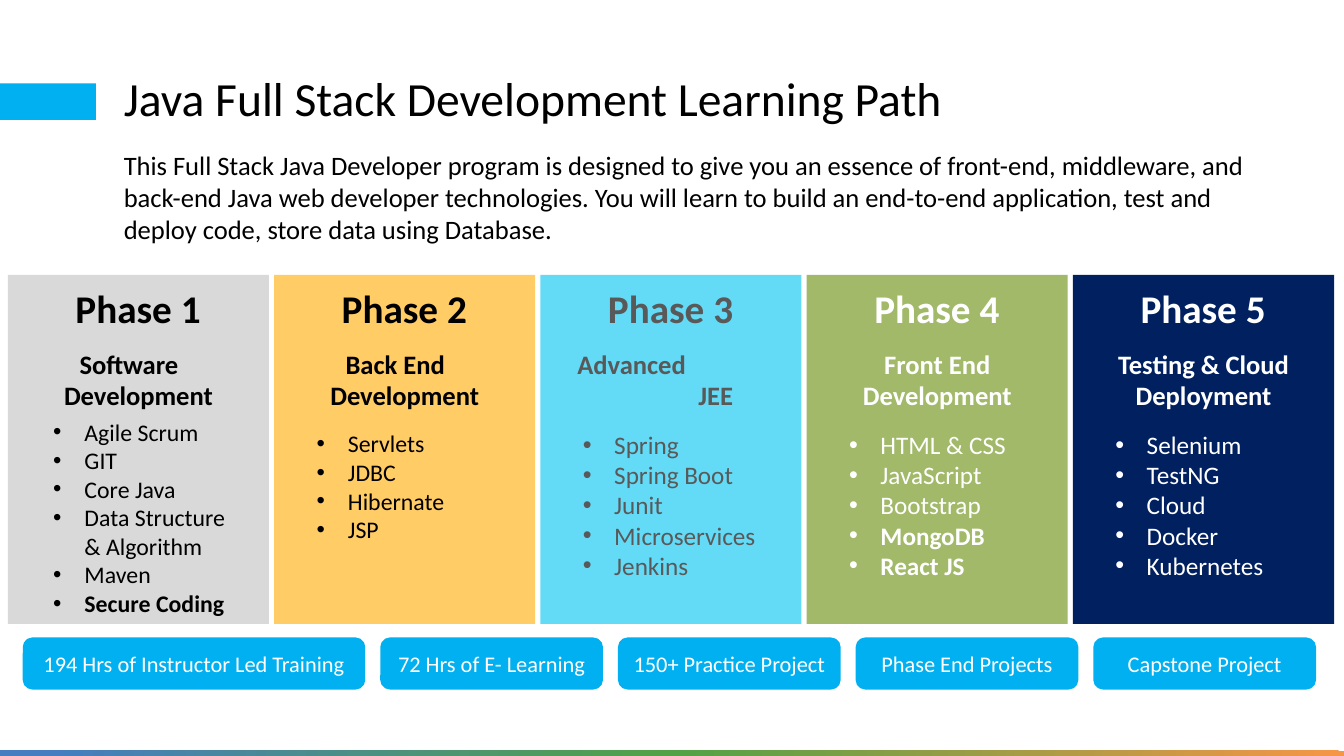
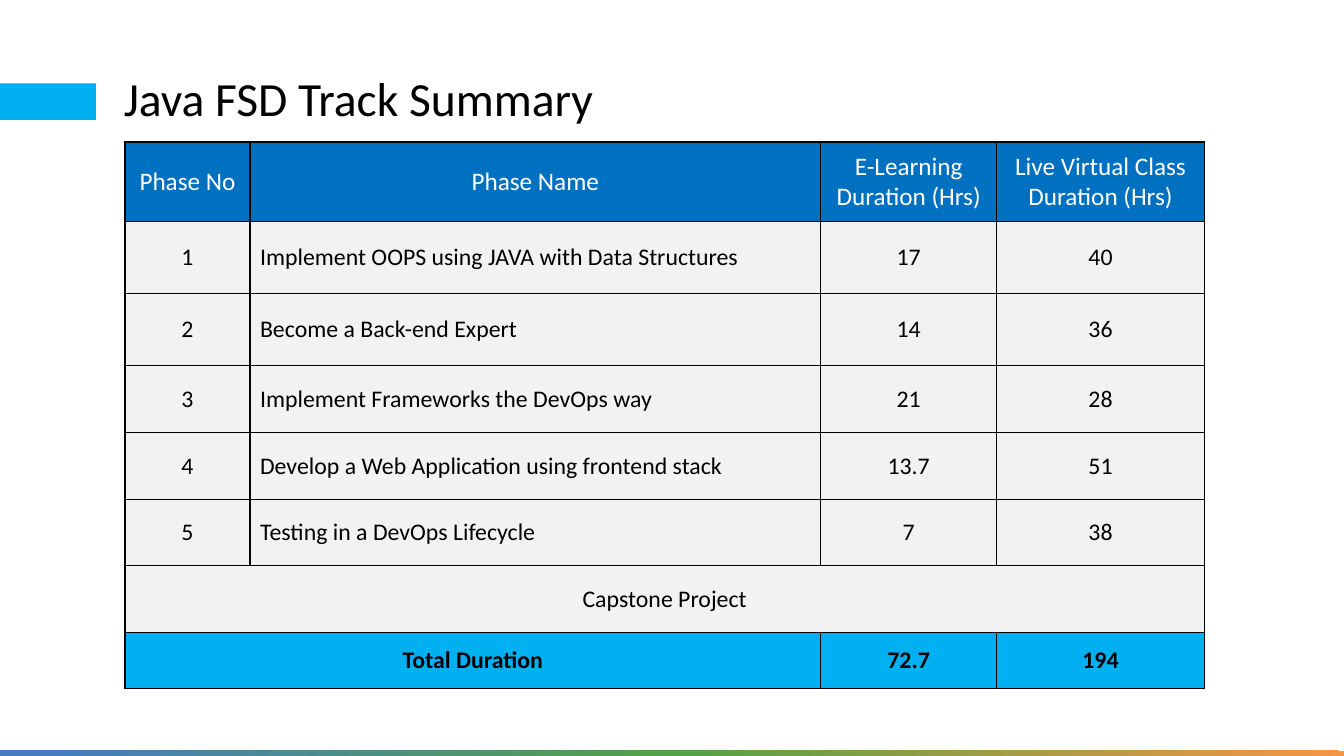
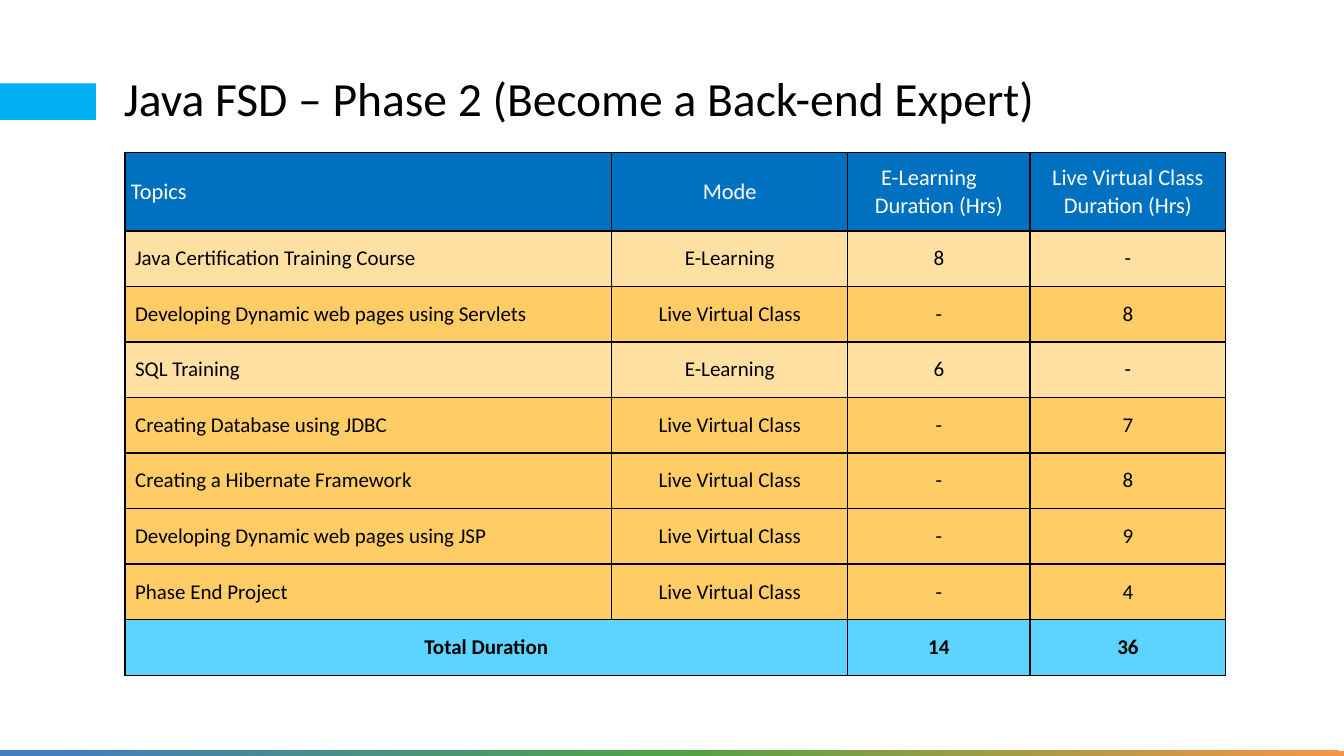
from dataclasses import dataclass

from lxml import etree
from pptx import Presentation
from pptx import util as u
from pptx.dml import color
from pptx.enum import shapes, text
from pptx.oxml import ns

FONT = "Calibri"
COLOURS = {
    "black": "000000", "white": "FFFFFF", "dark_grey": "595959",
    "grey": "D9D9D9", "pale_grey": "F2F2F2", "amber": "FFCC66",
    "pale_amber": "FFE0A3", "aqua": "63DBF7", "green": "A1B969",
    "navy": "002060", "accent": "00B0F0", "header": "0070C0",
    "total": "5DD4FF", "band_orange": "F79546", "band_green": "51A246",
    "band_blue": "457DC0",
}
BAND_STOPS = [(0, "band_orange"), (50, "band_green"), (96, "band_blue"), (100, "band_blue")]
LEFT, CENTER = text.PP_ALIGN.LEFT, text.PP_ALIGN.CENTER
TOP, MIDDLE, BOTTOM = (text.MSO_ANCHOR.TOP, text.MSO_ANCHOR.MIDDLE, text.MSO_ANCHOR.BOTTOM)
RECT = shapes.MSO_SHAPE.RECTANGLE
BULLET_INDENT = 0.79


@dataclass(frozen=True)
class Style:
    size: float
    colour: str = "black"
    bold: bool = False
    align: text.PP_ALIGN = LEFT
    bullet: bool = False
    spacing: float = 1.0


@dataclass(frozen=True)
class Line:
    """One paragraph with its own alignment, indents (cm) or weight."""
    text: str
    align: text.PP_ALIGN | None = None
    left: float = 0
    right: float = 0
    bold: bool = False


@dataclass(frozen=True)
class Phase:
    name: str
    heading: list
    topics: list
    fill: str
    ink: str
    topic_size: float = 18
    topic_left: float = 1.07
    topic_top: float = 10.69


@dataclass(frozen=True)
class Row:
    cells: list  # None continues the cell to its left
    height: float
    fill: str
    style: Style


@dataclass(frozen=True)
class Table:
    left: float
    top: float
    widths: list
    rows: list
    left_column: int
    header_inset: float = 0.25


# Shared drawing functions
def rgb(name: str) -> color.RGBColor:
    return color.RGBColor.from_string(COLOURS[name])


def add_tag(parent, tag: str, **attributes: str):
    return etree.SubElement(parent, ns.qn(tag), attributes)


def write(frame, lines: list, style: Style) -> None:
    lines = [Line(line) if isinstance(line, str) else line for line in lines]
    frame.text = "\n".join(line.text for line in lines)
    for para, line in zip(frame.paragraphs, lines):
        para.alignment = line.align or style.align
        para.line_spacing = style.spacing
        props = para._p.get_or_add_pPr()
        indent = BULLET_INDENT if style.bullet else line.left
        props.set("marL", str(u.Cm(indent)))
        props.set("marR", str(u.Cm(line.right)))
        if style.bullet:
            props.set("indent", str(-u.Cm(indent)))
            add_tag(add_tag(props, "a:buClr"), "a:srgbClr", val=COLOURS[style.colour])
            add_tag(props, "a:buFont", typeface="Arial")
            add_tag(props, "a:buChar", char="•")
        for span in para.runs:
            span.font.name = FONT
            span.font.size = u.Pt(style.size)
            span.font.bold = style.bold or line.bold
            span.font.color.rgb = rgb(style.colour)


def add_text(page, at: tuple, lines: list, style: Style,
             anchor: text.MSO_ANCHOR = TOP, side: float = 0.25) -> None:
    box = page.shapes.add_textbox(*map(u.Cm, at))
    frame = box.text_frame
    frame.word_wrap = True
    frame.vertical_anchor = anchor
    frame.margin_left = frame.margin_right = u.Cm(side)
    write(frame, lines, style)


def add_block(page, at: tuple, fill: str, kind: shapes.MSO_SHAPE = RECT):
    block = page.shapes.add_shape(kind, *map(u.Cm, at))
    block.shadow.inherit = False
    block.fill.solid()
    block.fill.fore_color.rgb = rgb(fill)
    block.line.fill.background()
    return block


def add_page(deck, title: str):
    page = deck.slides.add_slide(deck.slide_layouts[6])
    # Gradient band along the foot
    band = add_block(page, (-0.03, 18.92, 33.93, 0.23), "band_blue")
    band.fill.gradient()
    band.fill.gradient_angle = 170
    stops = band._element.spPr.find(".//" + ns.qn("a:gsLst"))
    for stop in list(stops):
        stops.remove(stop)
    for percent, name in BAND_STOPS:
        stop = add_tag(stops, "a:gs", pos=str(percent * 1000))
        add_tag(stop, "a:srgbClr", val=COLOURS[name])
    # Title and its marker
    add_block(page, (0, 2.1, 2.42, 0.92), "accent")
    add_text(page, (2.87, 1.7, 29.2, 1.68), [title], Style(34, spacing=0.9), MIDDLE)
    return page


def add_borders(cell) -> None:
    props = cell._tc.get_or_add_tcPr()
    for index, side in enumerate(("a:lnL", "a:lnR", "a:lnT", "a:lnB")):
        edge = etree.Element(ns.qn(side), {"w": str(u.Pt(1))})
        add_tag(add_tag(edge, "a:solidFill"), "a:srgbClr", val=COLOURS["black"])
        props.insert(index, edge)


def add_grid(page, table: Table) -> None:
    size = (sum(table.widths), sum(row.height for row in table.rows))
    holder = page.shapes.add_table(len(table.rows), len(table.widths),
                                   *map(u.Cm, (table.left, table.top, *size)))
    grid = holder.table
    grid.first_row = grid.horz_banding = False
    for column, width in zip(grid.columns, table.widths):
        column.width = u.Cm(width)
    for r, row in enumerate(table.rows):
        grid.rows[r].height = u.Cm(row.height)
        start = 0
        for c, content in enumerate(row.cells):
            cell = grid.cell(r, c)
            cell.fill.solid()
            cell.fill.fore_color.rgb = rgb(row.fill)
            cell.vertical_anchor = MIDDLE
            add_borders(cell)
            if content is None:
                continue
            start = c
            if r == 0:
                cell.margin_left = cell.margin_right = u.Cm(table.header_inset)
            lines = content if isinstance(content, list) else [content]
            is_body = r > 0 and c == table.left_column and None not in row.cells
            if is_body:
                lines = [Line(line, LEFT) for line in lines]
            write(cell.text_frame, lines, row.style)
        if None in row.cells:
            end = start
            while end + 1 < len(row.cells) and row.cells[end + 1] is None:
                end += 1
            first = 0
            last = row.cells.index(None)
            while last + 1 < len(row.cells) and row.cells[last + 1] is None:
                last += 1
            grid.cell(r, first).merge(grid.cell(r, last))


# Slide 1: learning path
INTRO = ("This Full Stack Java Developer program is designed to give you an essence of "
         "front-end, middleware, and back-end Java web developer technologies. You will "
         "learn to build an end-to-end application, test and deploy code, store data "
         "using Database.")
PHASES = [
    Phase("Phase 1", [Line("Software", right=0.48), "Development"],
          ["Agile Scrum", "GIT", "Core Java", "Data Structure & Algorithm", "Maven",
           Line("Secure Coding", bold=True)],
          "grey", "black", 17, 1.14, 10.39),
    Phase("Phase 2", [Line("Back End", right=0.48), "Development"],
          ["Servlets", "JDBC", "Hibernate", "JSP"], "amber", "black", 17),
    Phase("Phase 3", [Line("Advanced", LEFT), Line("JEE", LEFT, left=3.05)],
          ["Spring", "Spring Boot", "Junit", "Microservices", "Jenkins"],
          "aqua", "dark_grey"),
    Phase("Phase 4", ["Front End Development"],
          ["HTML & CSS", "JavaScript", "Bootstrap", Line("MongoDB", bold=True),
           Line("React JS", bold=True)], "green", "white"),
    Phase("Phase 5", ["Testing & Cloud", "Deployment"],
          ["Selenium", "TestNG", "Cloud", "Docker", "Kubernetes"], "navy", "white"),
]
PHASE_LEFT, PHASE_PITCH = 0.2, 6.71
OFFERS = [("194 Hrs of Instructor Led Training", 8.56), ("72 Hrs of E- Learning", 5.54),
          ("150+ Practice Project", 5.54), ("Phase End Projects", 5.54),
          ("Capstone Project", 5.54)]
OFFER_LEFT, OFFER_GAP = 0.61, 0.45


def add_phase(page, phase: Phase, left: float) -> None:
    add_block(page, (left, 6.93, 6.58, 8.79), phase.fill)
    add_text(page, (left + 0.69, 7.04, 5.18, 1.45), [phase.name],
             Style(28, phase.ink, True, CENTER))
    add_text(page, (left + 0.93, 8.61, 4.72, 1.88), phase.heading,
             Style(19, phase.ink, True, CENTER), BOTTOM, 0)
    add_text(page, (left + phase.topic_left, phase.topic_top, 4.42, 5), phase.topics,
             Style(phase.topic_size, phase.ink, bullet=True), side=0)


def add_offer(page, label: str, left: float, width: float) -> None:
    pill = add_block(page, (left, 16.1, width, 1.24), "accent",
                     shapes.MSO_SHAPE.ROUNDED_RECTANGLE)
    pill.line.color.rgb = rgb("accent")
    pill.line.width = u.Pt(2)
    frame = pill.text_frame
    frame.margin_left = frame.margin_right = u.Cm(0.1)
    frame.vertical_anchor = MIDDLE
    write(frame, [label], Style(16, "white", align=CENTER))


def add_learning_path(deck) -> None:
    page = add_page(deck, "Java Full Stack Development Learning Path")
    add_text(page, (2.87, 3.63, 29.67, 2.7), [INTRO], Style(19))
    for index, phase in enumerate(PHASES):
        add_phase(page, phase, PHASE_LEFT + index * PHASE_PITCH)
    left = OFFER_LEFT
    for label, width in OFFERS:
        add_offer(page, label, left, width)
        left += width + OFFER_GAP


# Slide 2: track summary
def summary_table() -> Table:
    body = Style(17, align=CENTER)
    tracks = [
        ("Implement OOPS using JAVA with Data Structures", "17", "40", 1.8),
        ("Become a Back-end Expert", "14", "36", 1.83),
        ("Implement Frameworks the DevOps way", "21", "28", 1.68),
        ("Develop a Web Application using frontend stack", "13.7", "51", 1.68),
        ("Testing in a DevOps Lifecycle", "7", "38", 1.68),
    ]
    return Table(3.15, 3.58, [3.15, 14.38, 4.44, 5.23], [
        Row(["Phase No", "Phase Name", "E-Learning Duration (Hrs)",
             "Live Virtual Class Duration (Hrs)"],
            2.01, "header", Style(18, "white", align=CENTER)),
        *(Row([str(number), name, online, live], height, "pale_grey", body)
          for number, (name, online, live, height) in enumerate(tracks, 1)),
        Row(["Capstone Project", None, None, None], 1.68, "pale_grey", body),
        Row(["Total Duration", None, "72.7", "194"], 1.42, "accent",
            Style(17, bold=True, align=CENTER)),
    ], left_column=1)


# Slide 3: phase 2 topics
def topic_row(topic: str, hours: str, online: bool = False) -> Row:
    cells = ([topic, "E-Learning", hours, "-"] if online
             else [topic, "Live Virtual Class", "-", hours])
    return Row(cells, 1.4, "pale_amber" if online else "amber", Style(15, align=CENTER))


def topics_table() -> Table:
    return Table(3.15, 3.84, [12.27, 5.94, 4.6, 4.93], [
        Row([Line("Topics", LEFT), "Mode",
             [Line("E-Learning", right=0.5), "Duration (Hrs)"],
             "Live Virtual Class Duration (Hrs)"],
            1.98, "header", Style(16, "white", align=CENTER)),
        topic_row("Java Certification Training Course", "8", online=True),
        topic_row("Developing Dynamic web pages using Servlets", "8"),
        topic_row("SQL Training", "6", online=True),
        topic_row("Creating Database using JDBC", "7"),
        topic_row("Creating a Hibernate Framework", "8"),
        topic_row("Developing Dynamic web pages using JSP", "9"),
        topic_row("Phase End Project", "4"),
        Row(["Total Duration", None, "14", "36"], 1.4, "total",
            Style(15, bold=True, align=CENTER)),
    ], left_column=0, header_inset=0.15)


def main() -> None:
    deck = Presentation()
    deck.slide_width, deck.slide_height = u.Cm(33.87), u.Cm(19.05)
    add_learning_path(deck)
    add_grid(add_page(deck, "Java FSD Track Summary"), summary_table())
    add_grid(add_page(deck, "Java FSD – Phase 2 (Become a Back-end Expert)"), topics_table())
    deck.save("out.pptx")


if __name__ == "__main__":
    main()
